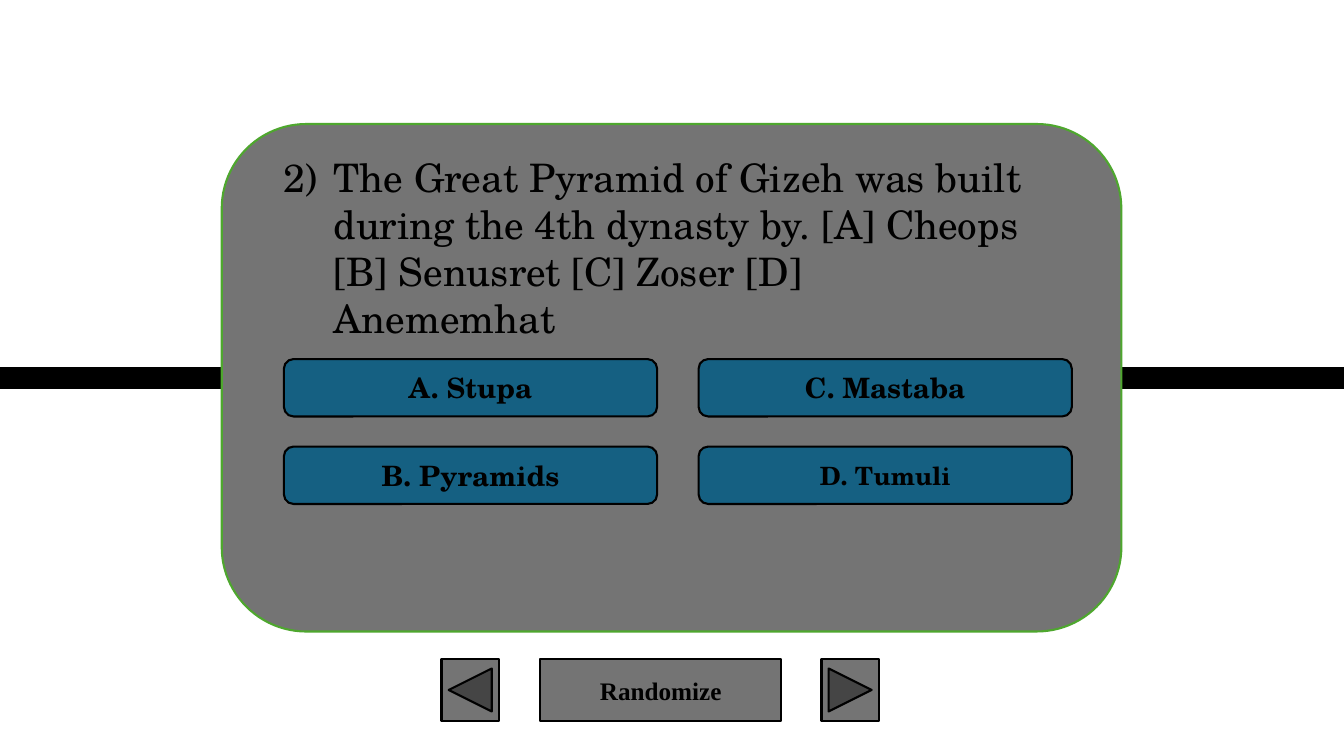
from pptx import Presentation
from pptx.dml.color import RGBColor
from pptx.enum.shapes import MSO_CONNECTOR, MSO_SHAPE
from pptx.enum.text import MSO_ANCHOR, MSO_AUTO_SIZE, PP_ALIGN
from pptx.oxml.ns import qn
from pptx.util import Pt
from lxml.etree import SubElement

COLORS = {"ink": "000000", "panel": "747474", "rim": "4EA72E", "answer": "156082"}
QUIZ_FONT = "TeX Gyre Schola"
BUTTON_FONT = "Times New Roman"
SLIDE_WIDTH, SLIDE_HEIGHT = 960, 540
QUESTION = ("The Great Pyramid of Gizeh was built during the 4th dynasty by. "
            "[A] Cheops [B] Senusret [C] Zoser [D] Anememhat")
ANSWERS = [("A. Stupa", 20), ("B. Pyramids", 20), ("C. Mastaba", 20), ("D. Tumuli", 18)]


def color(key):
    """Return the named colour."""
    return RGBColor.from_string(COLORS[key])


def write(frame, text, size, font=QUIZ_FONT, bold=False, align=PP_ALIGN.LEFT,
          anchor=MSO_ANCHOR.TOP):
    """Fill a text frame with one formatted paragraph."""
    frame.text = text
    frame.word_wrap = True
    frame.auto_size = MSO_AUTO_SIZE.NONE
    frame.vertical_anchor = anchor
    paragraph = frame.paragraphs[0]
    paragraph.alignment = align
    run_font = paragraph.runs[0].font
    run_font.name, run_font.size, run_font.bold = font, Pt(size), bold
    run_font.color.rgb = color("ink")


def add_panel(slide, preset, left, top, width, height, fill="panel", line="ink"):
    """Add a filled and outlined preset shape."""
    panel = slide.shapes.add_shape(preset, Pt(left), Pt(top), Pt(width), Pt(height))
    panel.shadow.inherit = False
    panel.fill.solid()
    panel.fill.fore_color.rgb = color(fill)
    panel.line.color.rgb = color(line)
    panel.line.width = Pt(1.5)
    return panel


def add_label(panel, text, size, font=QUIZ_FONT):
    """Centre a bold label in a shape."""
    write(panel.text_frame, text, size, font, True, PP_ALIGN.CENTER, MSO_ANCHOR.MIDDLE)


def add_band(slide):
    """Draw the thick line across the middle of the slide."""
    middle = Pt(SLIDE_HEIGHT / 2)
    band = slide.shapes.add_connector(MSO_CONNECTOR.STRAIGHT, 0, middle,
                                      Pt(SLIDE_WIDTH), middle)
    band.line.color.rgb = color("ink")
    band.line.width = Pt(16)
    SubElement(band._element.spPr, qn("a:effectLst"))


def add_navigation(slide):
    """Add the randomize, back and forward buttons."""
    top, height = 470.9, 43.9
    randomize = add_panel(slide, MSO_SHAPE.ACTION_BUTTON_CUSTOM, 385.9, top, 172.1, height)
    add_label(randomize, "Randomize", 18, BUTTON_FONT)
    for preset, left in ((MSO_SHAPE.ACTION_BUTTON_BACK_OR_PREVIOUS, 315.4),
                         (MSO_SHAPE.ACTION_BUTTON_FORWARD_OR_NEXT, 586.8)):
        add_panel(slide, preset, left, top, 41, height)


def add_question(slide):
    """Place the question number and the question as title on the card."""
    number = slide.shapes.add_textbox(Pt(195.1), Pt(105.8), Pt(91.4), Pt(41))
    write(number.text_frame, "2)", 28)
    question = slide.shapes.title
    question.left, question.top = Pt(231.1), Pt(105.8)
    question.width, question.height = Pt(506.9), Pt(108.7)
    write(question.text_frame, QUESTION, 28)
    slide.shapes._spTree.append(question._element)


def add_answers(slide):
    """Lay the answers out in two columns, filled downwards."""
    for index, (answer, size) in enumerate(ANSWERS):
        column, row = divmod(index, 2)
        choice = add_panel(slide, MSO_SHAPE.ROUNDED_RECTANGLE, 202.8 + column * 296.2,
                           256.5 + row * 62.5, 266.6, 41, fill="answer")
        add_label(choice, answer, size)


def main():
    """Build and save the quiz slide."""
    presentation = Presentation()
    presentation.slide_width, presentation.slide_height = Pt(SLIDE_WIDTH), Pt(SLIDE_HEIGHT)
    slide = presentation.slides.add_slide(presentation.slide_layouts[5])
    add_band(slide)
    add_navigation(slide)
    add_panel(slide, MSO_SHAPE.ROUNDED_RECTANGLE, 158.4, 88.6, 642.6, 362.5, line="rim")
    add_question(slide)
    add_answers(slide)
    presentation.save("out.pptx")


if __name__ == "__main__":
    main()
